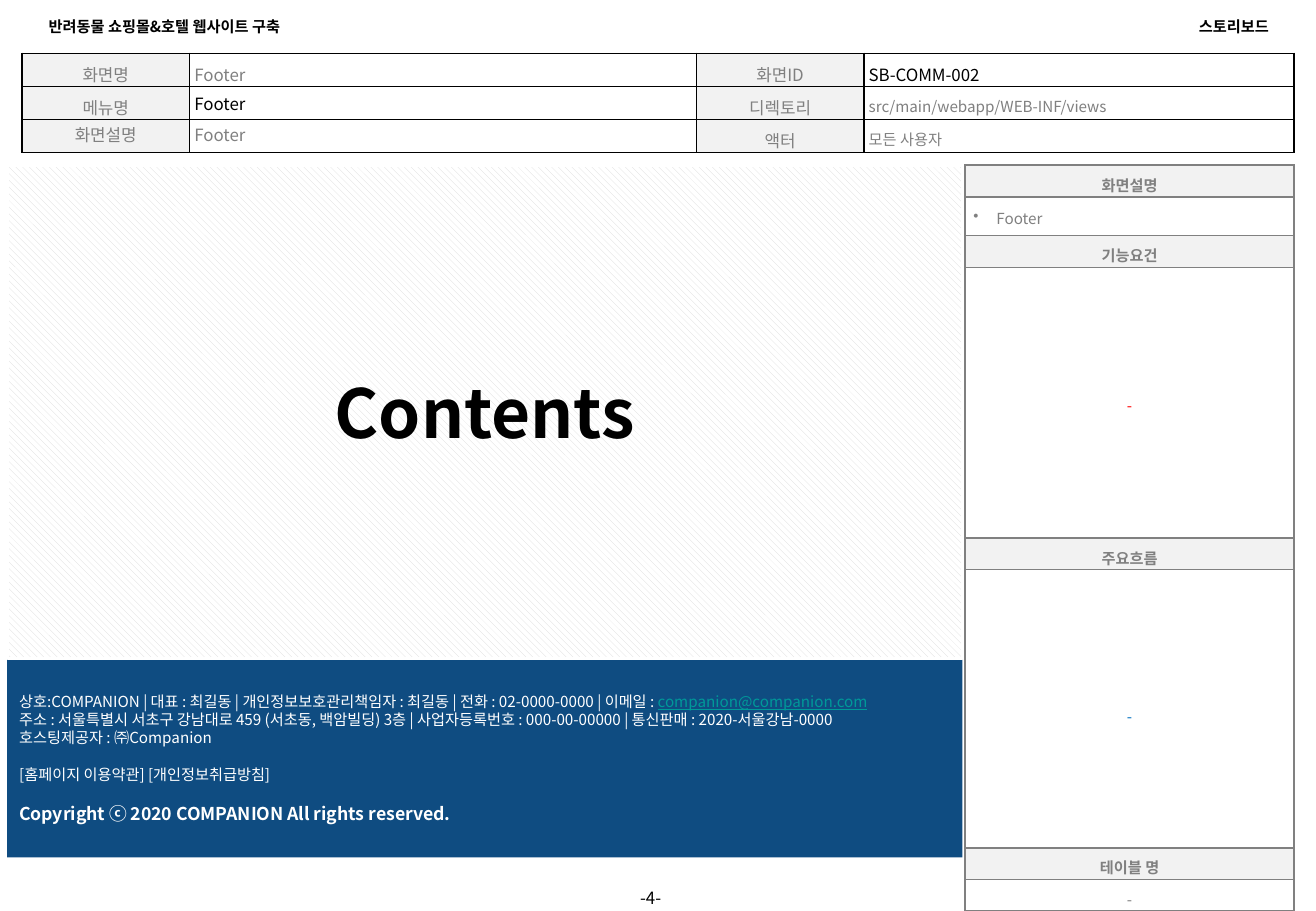
"""Builds the footer storyboard slide of a pet shop and hotel website."""
from dataclasses import dataclass
from typing import Optional, Union

from lxml import etree
from pptx import Presentation
from pptx import util as u
from pptx.dml.color import RGBColor
from pptx.enum import dml, shapes, text
from pptx.oxml.ns import qn

FONT = "Noto Sans CJK KR"
BLACK = RGBColor(0x00, 0x00, 0x00)
WHITE = RGBColor(0xFF, 0xFF, 0xFF)
GRAY = RGBColor(0x80, 0x80, 0x80)
PALE = RGBColor(0xF2, 0xF2, 0xF2)
HATCH = RGBColor(0xD9, 0xD9, 0xD9)
NAVY = RGBColor(0x0F, 0x4C, 0x81)
TEAL = RGBColor(0x00, 0x99, 0x99)
RED = RGBColor(0xFF, 0x00, 0x00)
BLUE = RGBColor(0x00, 0x70, 0xC0)
LEFT, CENTER, RIGHT = text.PP_ALIGN.LEFT, text.PP_ALIGN.CENTER, text.PP_ALIGN.RIGHT
Spacing = Union[float, u.Length, None]


@dataclass(frozen=True)
class Box:
    left: float
    top: float
    width: float
    height: float

    def emu(self) -> tuple:
        return tuple(u.Inches(v) for v in (self.left, self.top, self.width, self.height))


@dataclass(frozen=True)
class Cell:
    text: str
    size: float = 9
    color: RGBColor = GRAY
    bold: bool = False
    align: text.PP_ALIGN = LEFT
    fill: Optional[RGBColor] = None
    spacing: Spacing = None
    bullet: bool = False


@dataclass(frozen=True)
class Grid:
    left: float
    top: float
    cols: list
    rows: list
    cells: list
    margins: tuple
    border: RGBColor


def write(p, words: str, *, size: float = 9, color: RGBColor = BLACK, bold: bool = False,
          underline: bool = False, align: text.PP_ALIGN = LEFT, spacing: Spacing = None,
          before: float = 0, bullet: bool = False) -> None:
    """Add one formatted run to a paragraph."""
    if bullet:
        pPr = p._p.get_or_add_pPr()
        pPr.set("marL", str(u.Inches(0.19)))
        pPr.set("indent", str(u.Inches(-0.19)))
        etree.SubElement(pPr, qn("a:buChar")).set("char", "•")
    p.alignment = align
    if spacing:
        p.line_spacing = spacing
    if before:
        p.space_before = u.Pt(before)
    r = p.add_run()
    r.text = words
    r.font.size, r.font.bold, r.font.name = u.Pt(size), bold, FONT
    r.font.color.rgb = color
    if underline:
        r.font.underline = True
    etree.SubElement(r.font._element, qn("a:ea")).set("typeface", FONT)


def set_frame(tf, margins: Optional[tuple] = None):
    """Wrap and middle-anchor a text frame and return its first paragraph."""
    tf.word_wrap = True
    tf.vertical_anchor = text.MSO_ANCHOR.MIDDLE
    if margins:
        (tf.margin_left, tf.margin_top,
         tf.margin_right, tf.margin_bottom) = (u.Inches(m) for m in margins)
    return tf.paragraphs[0]


def add_label(s, box: Box, words: str, margins: Optional[tuple] = None, **fmt) -> None:
    """Add a text box with one line."""
    write(set_frame(s.shapes.add_textbox(*box.emu()).text_frame, margins), words, **fmt)


def add_panel(s, box: Box):
    """Add a plain rectangle without shadow or line."""
    sp = s.shapes.add_shape(shapes.MSO_SHAPE.RECTANGLE, *box.emu())
    sp.shadow.inherit = False
    sp.line.fill.background()
    return sp


def set_borders(cell, color: RGBColor) -> None:
    """Draw a one-point line on every side of a table cell."""
    tcPr = cell._tc.get_or_add_tcPr()
    for side in ("lnL", "lnR", "lnT", "lnB"):
        ln = etree.SubElement(tcPr, qn(f"a:{side}"), w=str(u.Pt(1)))
        fill = etree.SubElement(ln, qn("a:solidFill"))
        etree.SubElement(fill, qn("a:srgbClr"), val=str(color))


def add_grid(s, grid: Grid) -> None:
    """Add a table with its cells."""
    box = Box(grid.left, grid.top, sum(grid.cols), sum(grid.rows))
    table = s.shapes.add_table(len(grid.rows), len(grid.cols), *box.emu()).table
    table.first_row = table.horz_banding = False
    for col, width in zip(table.columns, grid.cols):
        col.width = u.Inches(width)
    for row, height, items in zip(table.rows, grid.rows, grid.cells):
        row.height = u.Inches(height)
        for cell, item in zip(row.cells, items):
            (cell.margin_left, cell.margin_top,
             cell.margin_right, cell.margin_bottom) = (u.Inches(m) for m in grid.margins)
            cell.vertical_anchor = text.MSO_ANCHOR.MIDDLE
            set_borders(cell, grid.border)
            if item.fill is None:
                cell.fill.background()
            else:
                cell.fill.solid()
                cell.fill.fore_color.rgb = item.fill
            write(cell.text_frame.paragraphs[0], item.text, size=item.size, color=item.color,
                  bold=item.bold, align=item.align, spacing=item.spacing, bullet=item.bullet)


def name_cell(words: str, spacing: Spacing = 1.15) -> Cell:
    """Describe a shaded field name."""
    return Cell(words, size=10, align=CENTER, fill=PALE, spacing=spacing)


def heading(words: str) -> list:
    """Describe a shaded heading row."""
    return [Cell(words, bold=True, align=CENTER, fill=PALE)]


def dash(color: RGBColor) -> list:
    """Describe an empty entry row."""
    return [Cell("-", color=color, align=CENTER)]


def add_footer(s) -> None:
    """Add the website footer panel."""
    sp = add_panel(s, Box(0.06, 5.42, 7.86, 1.64))
    sp.fill.solid()
    sp.fill.fore_color.rgb = NAVY
    tf = sp.text_frame
    p = set_frame(tf)
    write(p, "상호:COMPANION | 대표 : 최길동 | 개인정보보호관리책임자 : 최길동 | "
             "전화 : 02-0000-0000 | 이메일 : ", color=WHITE)
    write(p, "companion@companion.com", color=TEAL, underline=True)
    for words, fmt in (
        ("주소 : 서울특별시 서초구 강남대로 459 (서초동, 백암빌딩) 3층 | "
         "사업자등록번호 : 000-00-00000 | 통신판매 : 2020-서울강남-0000", {}),
        ("호스팅제공자 : ㈜Companion", {}),
        ("[홈페이지 이용약관] [개인정보취급방침]", {"before": 11}),
        ("Copyright ⓒ 2020 COMPANION All rights reserved.",
         {"before": 11, "size": 10.5, "bold": True}),
    ):
        write(tf.add_paragraph(), words, color=WHITE, **fmt)


def main() -> None:
    """Build and save the slide."""
    prs = Presentation()
    prs.slide_width, prs.slide_height = u.Inches(10.83), u.Inches(7.5)
    s = prs.slides.add_slide(prs.slide_layouts[5])
    title = s.shapes.title
    title.left, title.top, title.width, title.height = Box(0.3, 0.09, 2.99, 0.25).emu()
    write(set_frame(title.text_frame), "반려동물 쇼핑몰&호텔 웹사이트 구축", bold=True)
    add_label(s, Box(7.55, 0.09, 2.99, 0.25), "스토리보드", bold=True, align=RIGHT)
    add_label(s, Box(4.96, 7.31, 0.79, 0.16), "-4-", (0.04,) * 4, size=10, align=CENTER)

    exact = u.Pt(12)
    add_grid(s, Grid(0.18, 0.44, [1.38, 4.17, 1.38, 3.54], [0.27] * 3, [
        [name_cell("화면명"), Cell("Footer", size=10, spacing=1.15),
         name_cell("화면ID"), Cell("SB-COMM-002", size=10, color=BLACK, spacing=1.15)],
        [name_cell("메뉴명"), Cell("Footer", size=10, color=BLACK),
         name_cell("디렉토리"), Cell("src/main/webapp/WEB-INF/views", spacing=1.15)],
        [name_cell("화면설명", exact), Cell("Footer", size=10, spacing=exact),
         name_cell("액터"), Cell("모든 사용자", spacing=1.15)],
    ], (0.04,) * 4, BLACK))

    side = (0.07, 0.07, 0.07, 0.04)
    add_grid(s, Grid(7.94, 1.36, [2.71], [0.26, 0.32, 0.26, 2.23, 0.26, 2.38], [
        heading("화면설명"), [Cell("Footer", bullet=True)],
        heading("기능요건"), dash(RED),
        heading("주요흐름"), dash(BLUE),
    ], side, GRAY))
    add_grid(s, Grid(7.94, 6.98, [2.71], [0.26, 0.26],
                     [heading("테이블 명"), dash(GRAY)], side, GRAY))

    add_footer(s)
    sp = add_panel(s, Box(0.06, 1.36, 7.86, 4.06))
    sp.fill.patterned()
    sp.fill.pattern = dml.MSO_PATTERN.WIDE_DOWNWARD_DIAGONAL
    sp.fill.fore_color.rgb, sp.fill.back_color.rgb = HATCH, WHITE
    sp.line.color.rgb, sp.line.width = WHITE, u.Pt(2)
    write(set_frame(sp.text_frame), "Contents", size=40, bold=True, align=CENTER)
    prs.save("out.pptx")


if __name__ == "__main__":
    main()
